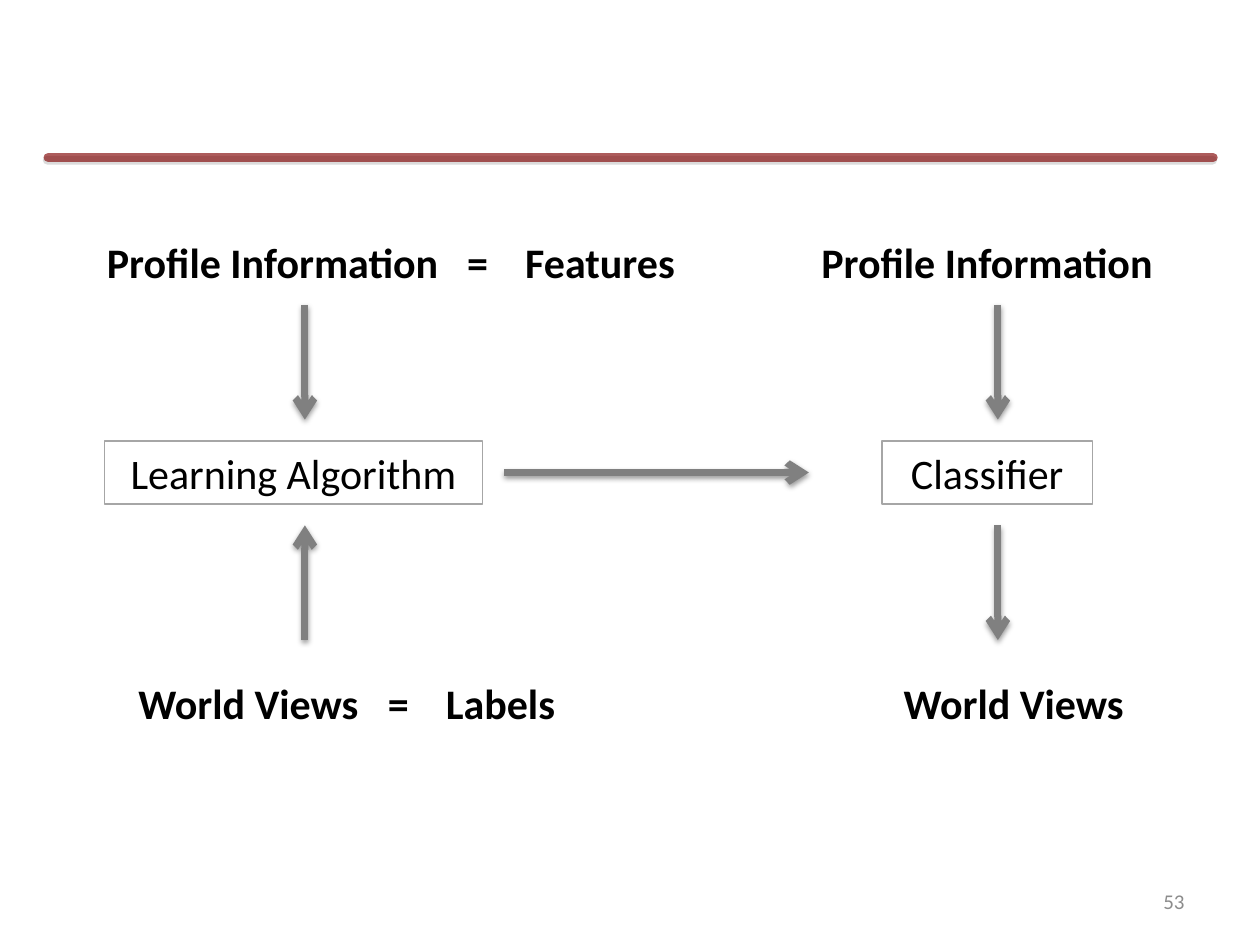
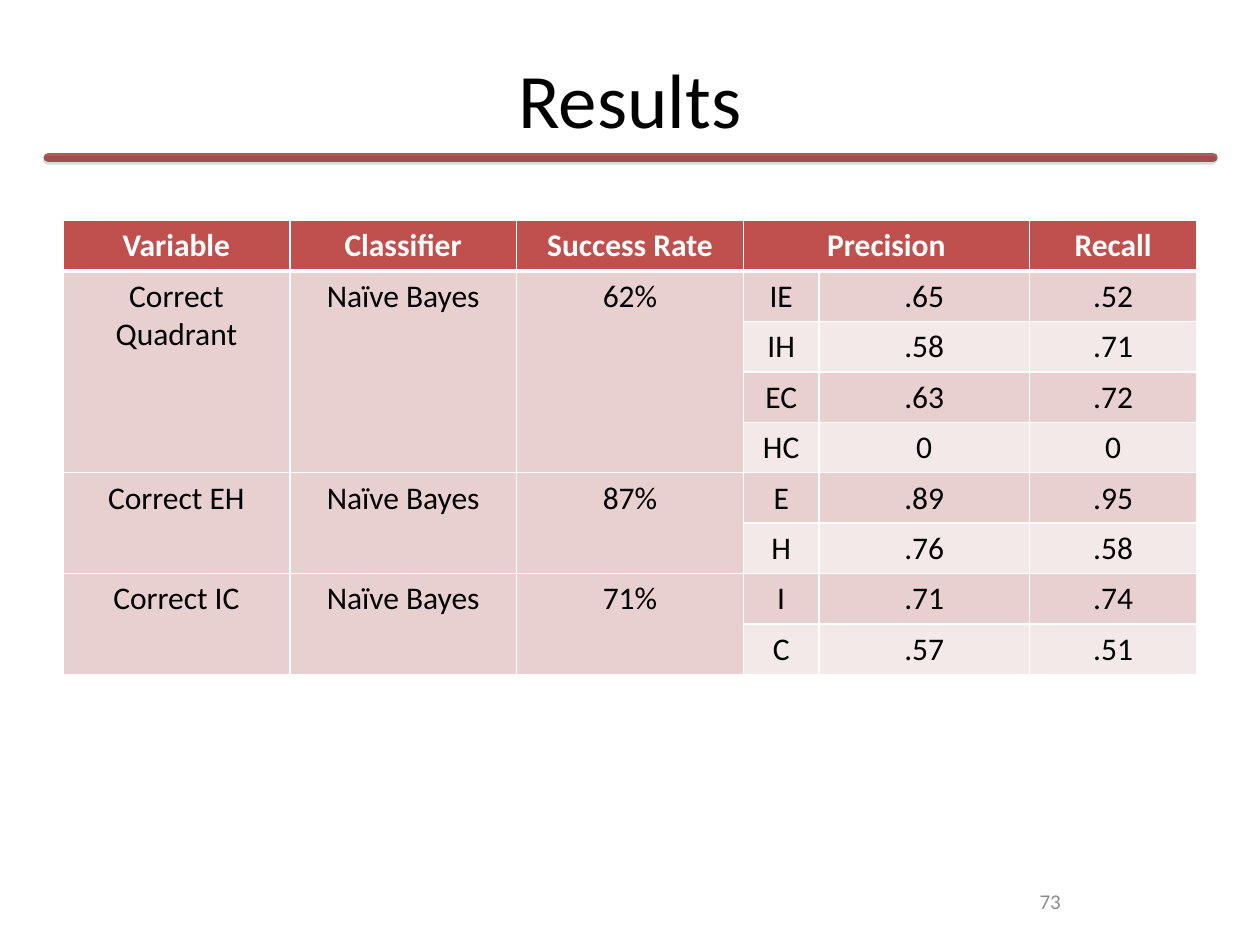
"""Build two slides on predicting world views: the learning diagram and the results table."""
import pptx
import pptx.dml.color
import pptx.enum.shapes
import pptx.enum.text
import pptx.oxml
import pptx.oxml.ns
import pptx.util
from pptx.util import Inches, Pt

RGB = pptx.dml.color.RGBColor
BLACK, WHITE = RGB(0, 0, 0), RGB(255, 255, 255)
MAROON, RED = RGB(0x80, 0, 0), RGB(0xC0, 0x50, 0x4D)
ROSE, PALE_ROSE = RGB(0xE8, 0xD0, 0xD0), RGB(0xF4, 0xE9, 0xE9)
GRAY, BOX_GRAY, PAGE_GRAY = RGB(0x80, 0x80, 0x80), RGB(0xA6, 0xA6, 0xA6), RGB(0x8C, 0x8C, 0x8C)
FONT = "Calibri"
ALIGN = pptx.enum.text.PP_ALIGN
ANCHOR = pptx.enum.text.MSO_ANCHOR
NS = pptx.oxml.ns.nsdecls("a")

LABELS = [
    ("Profile Information\t=\tFeatures", (0.75, 1.83, 6.42, 0.5), ALIGN.LEFT, (2.86, 3.32)),
    ("World Views\t=\tLabels", (1, 5.33, 6.42, 0.5), ALIGN.LEFT, (1.98, 2.44)),
    ("Profile Information", (6.42, 1.83, 3.17, 0.5), ALIGN.LEFT, ()),
    ("World Views", (6.92, 5.33, 2.25, 0.5), ALIGN.CENTER, ()),
]
STAGES = [("Learning Algorithm", 0.83, 3), ("Classifier", 7, 1.67)]
STAGE_TOP, STAGE_HEIGHT = 3.5, 0.5
LEARNING_X, CLASSIFIER_X = 2.42, 7.92
FLOWS = [
    ((LEARNING_X, 2.42), (LEARNING_X, 3.33)),
    ((LEARNING_X, 5.08), (LEARNING_X, 4.17)),
    ((4, 3.75), (6.42, 3.75)),
    ((CLASSIFIER_X, 2.42), (CLASSIFIER_X, 3.33)),
    ((CLASSIFIER_X, 4.17), (CLASSIFIER_X, 5.08)),
]

HEADINGS = ["Variable", "Classifier", "Success Rate", "Precision", "", "Recall"]
COLUMN_WIDTHS = [1.8, 1.8, 1.8, 0.6, 1.67, 1.33]
ROW_HEIGHT = 0.4
RESULTS = [
    (("Correct Quadrant", "Naïve Bayes", "62%"),
     [("IE", ".65", ".52"), ("IH", ".58", ".71"), ("EC", ".63", ".72"), ("HC", "0", "0")]),
    (("Correct EH", "Naïve Bayes", "87%"), [("E", ".89", ".95"), ("H", ".76", ".58")]),
    (("Correct IC", "Naïve Bayes", "71%"), [("I", ".71", ".74"), ("C", ".57", ".51")]),
]


def write(frame, text, size=24, color=BLACK, bold=False, align=ALIGN.CENTER, anchor=None, tabs=()):
    frame.word_wrap = True
    if anchor is not None:
        frame.vertical_anchor = anchor
    paragraph = frame.paragraphs[0]
    paragraph.text = text
    paragraph.alignment = align
    if tabs:
        stops = "".join(f'<a:tab pos="{Inches(stop)}" algn="l"/>' for stop in tabs)
        paragraph._p.get_or_add_pPr().append(
            pptx.oxml.parse_xml(f"<a:tabLst {NS}>{stops}</a:tabLst>"))
    for run in paragraph.runs:
        font = run.font
        font.name, font.size, font.bold = FONT, Pt(size), bold
        font.color.rgb = color


def add_label(slide, text, box, **style):
    write(slide.shapes.add_textbox(*map(Inches, box)).text_frame, text, **style)


def add_line(slide, start, end, color, width, shadow):
    line = slide.shapes.add_connector(
        pptx.enum.shapes.MSO_CONNECTOR.STRAIGHT, *map(Inches, start + end))
    line.line.color.rgb = color
    line.line.width = Pt(width)
    shade, alpha, blur, distance, angle = shadow
    properties = line.element.spPr
    properties.append(pptx.oxml.parse_xml(
        f'<a:effectLst {NS}><a:outerShdw blurRad="{Pt(blur)}" dist="{Pt(distance)}" '
        f'dir="{angle * 60000}" rotWithShape="0"><a:srgbClr val="{shade}">'
        f'<a:alpha val="{alpha * 1000}"/></a:srgbClr></a:outerShdw></a:effectLst>'))
    return properties.find(pptx.oxml.ns.qn("a:ln"))


def add_flow(slide, start, end):
    outline = add_line(slide, start, end, GRAY, 4, (BLACK, 38, 3.1, 1.6, 90))
    outline.append(pptx.oxml.parse_xml(f'<a:tailEnd {NS} type="arrow"/>'))


def start_slide(deck, layout_index, page, page_align):
    slide = deck.slides.add_slide(deck.slide_layouts[layout_index])
    rule = add_line(slide, (0.38, 1.25), (9.63, 1.25), MAROON, 5, (GRAY, 43, 0, 1.6, 105))
    rule.set("cap", "rnd")
    tint = rule.find(".//" + pptx.oxml.ns.qn("a:srgbClr"))
    tint.append(pptx.oxml.parse_xml(f'<a:alpha {NS} val="64000"/>'))
    add_label(slide, page, (7.17, 6.95, 2.33, 0.4), size=12, color=PAGE_GRAY,
              align=page_align, anchor=ANCHOR.MIDDLE)
    return slide


def add_stage(slide, name, left, width):
    stage = slide.shapes.add_shape(
        pptx.enum.shapes.MSO_SHAPE.RECTANGLE,
        *map(Inches, (left, STAGE_TOP, width, STAGE_HEIGHT)))
    stage.shadow.inherit = False
    stage.fill.background()
    stage.line.color.rgb = BOX_GRAY
    stage.line.width = Pt(0.75)
    write(stage.text_frame, name, anchor=ANCHOR.TOP)


def style_cell(cell, fill, top, bottom):
    properties = cell._tc.get_or_add_tcPr()
    for side, width in (("L", 1), ("R", 1), ("T", top), ("B", bottom)):
        properties.append(pptx.oxml.parse_xml(
            f'<a:ln{side} {NS} w="{Pt(width)}"><a:solidFill><a:srgbClr val="{WHITE}"/>'
            f'</a:solidFill></a:ln{side}>'))
    cell.fill.solid()
    cell.fill.fore_color.rgb = fill


def add_results(slide):
    rows = [HEADINGS]
    group_starts = []
    for summary, scores in RESULTS:
        group_starts.append((len(rows), len(scores)))
        rows += [(summary if i == 0 else ("",) * 3) + score for i, score in enumerate(scores)]
    table = slide.shapes.add_table(
        len(rows), len(COLUMN_WIDTHS), Inches(0.5), Inches(1.75),
        Inches(sum(COLUMN_WIDTHS)), Inches(ROW_HEIGHT * len(rows))).table
    for column, width in zip(table.columns, COLUMN_WIDTHS):
        column.width = Inches(width)
    for r, values in enumerate(rows):
        table.rows[r].height = Inches(ROW_HEIGHT)
        for c, value in enumerate(values):
            heading = r == 0
            fill = RED if heading else ROSE if c < 3 or r % 2 else PALE_ROSE
            style_cell(table.cell(r, c), fill, 3 if r == 1 else 1, 3 if heading else 1)
            if value:
                write(table.cell(r, c).text_frame, value, size=18, bold=heading,
                      color=WHITE if heading else BLACK)
    table.cell(0, 3).merge(table.cell(0, 4))
    for first, count in group_starts:
        for c in range(3):
            table.cell(first, c).merge(table.cell(first + count - 1, c))


def main():
    deck = pptx.Presentation()
    deck.slide_width, deck.slide_height = Inches(10), Inches(7.5)

    diagram = start_slide(deck, 6, "53", ALIGN.RIGHT)
    for text, box, align, tabs in LABELS:
        add_label(diagram, text, box, bold=True, align=align, tabs=tabs)
    for stage in STAGES:
        add_stage(diagram, *stage)
    for flow in FLOWS:
        add_flow(diagram, *flow)

    results = start_slide(deck, 5, "73", ALIGN.CENTER)
    title = results.shapes.title
    title.left, title.top, title.width, title.height = map(Inches, (0.5, 0.3, 9, 0.95))
    write(title.text_frame, "Results", size=44, anchor=ANCHOR.MIDDLE)
    add_results(results)
    deck.save("out.pptx")


if __name__ == "__main__":
    main()
